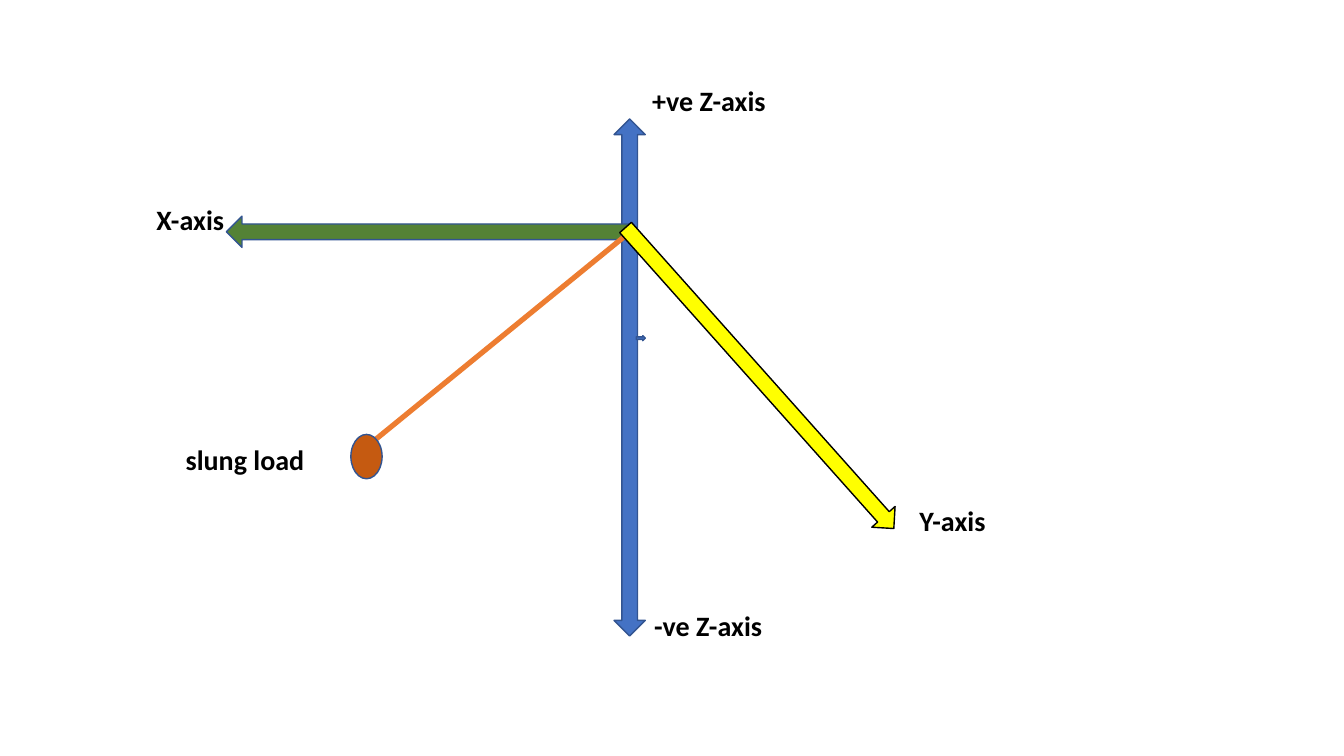
import pptx
import pptx.util
import pptx.dml.color
import pptx.enum.shapes
import pptx.enum.text
import pptx.oxml
import pptx.oxml.ns

Inches = pptx.util.Inches
Pt = pptx.util.Pt
MSO = pptx.enum.shapes.MSO_SHAPE

COLORS = {
    "z_axis": "4472C4",
    "x_axis": "548235",
    "y_axis": "FFFF00",
    "cable": "ED7D31",
    "load": "C55A11",
    "outline": "325491",
    "black": "000000",
}
THICK = 0.31
LONG = 4


def rgb(name):
    return pptx.dml.color.RGBColor.from_string(COLORS[name])


def add_solid(slide, kind, x, y, w, h, fill, line="outline", rotation=0):
    sp = slide.shapes.add_shape(kind, Inches(x), Inches(y), Inches(w), Inches(h))
    sp.shadow.inherit = False
    sp.rotation = rotation
    sp.fill.solid()
    sp.fill.fore_color.rgb = rgb(fill)
    sp.line.color.rgb = rgb(line)
    sp.line.width = Pt(1)


def add_cable(slide, x1, y1, x2, y2):
    cable = slide.shapes.add_connector(
        pptx.enum.shapes.MSO_CONNECTOR.STRAIGHT,
        Inches(x1), Inches(y1), Inches(x2), Inches(y2))
    cable.line.color.rgb = rgb("cable")
    cable.line.width = Pt(3.75)
    qn = pptx.oxml.ns.qn
    ln = cable.line._get_or_add_ln()
    ln.append(ln.makeelement(qn("a:tailEnd"), {"type": "triangle"}))
    ln.addnext(ln.makeelement(qn("a:effectLst"), {}))


def add_label(slide, text, x, y, w, h):
    tf = slide.shapes.add_textbox(Inches(x), Inches(y), Inches(w), Inches(h)).text_frame
    tf.word_wrap = True
    tf.auto_size = pptx.enum.text.MSO_AUTO_SIZE.SHAPE_TO_FIT_TEXT
    p = tf.paragraphs[0]
    p.text = text
    p.font.name = "Calibri"
    p.font.size = Pt(20)
    p.font.bold = True
    p.font.color.rgb = rgb("black")


def add_axes(slide, x, y):
    arrow = MSO.DOWN_ARROW
    add_solid(slide, arrow, x + 4.7, y + 1.53, THICK, LONG, "z_axis")
    add_solid(slide, MSO.RIGHT_ARROW, x + 4.92, y + 2.55, 0.09, 0.05, "z_axis")
    add_solid(slide, arrow, x + 4.7, y + 0.4, THICK, 1.08, "z_axis", rotation=180)
    add_solid(slide, arrow, x + 2.7, y - 0.48, THICK, LONG, "x_axis", rotation=90)
    add_cable(slide, x + 4.86, y + 1.52, x + 2.09, y + 3.78)
    add_solid(slide, MSO.FLOWCHART_CONNECTOR, x + 2.09, y + 3.53, THICK, 0.44, "load")
    add_solid(slide, arrow, x + 5.99, y + 0.97, THICK, LONG, "y_axis", "black", 318.3)


def add_labels(slide, x, y):
    for text, dx, dy, w, h in [
        ("+ve Z-axis", 4.98, 0, 1.83, 0.44),
        ("-ve Z-axis", 5, 5.21, 1.83, 0.44),
        ("Y-axis", 7.63, 4.17, 1, 0.44),
        (" X-axis", 0, 1.18, 0.97, 0.74),
        (" slung load", 0.29, 3.56, 1.65, 0.74),
    ]:
        add_label(slide, text, x + dx, y + dy, w, h)


def main():
    prs = pptx.Presentation()
    prs.slide_width = Inches(13.33)
    prs.slide_height = Inches(7.5)
    slide = prs.slides.add_slide(prs.slide_layouts[6])
    left, top = 1.39, 0.78
    add_axes(slide, left, top)
    add_labels(slide, left, top)
    prs.save("out.pptx")


if __name__ == "__main__":
    main()
